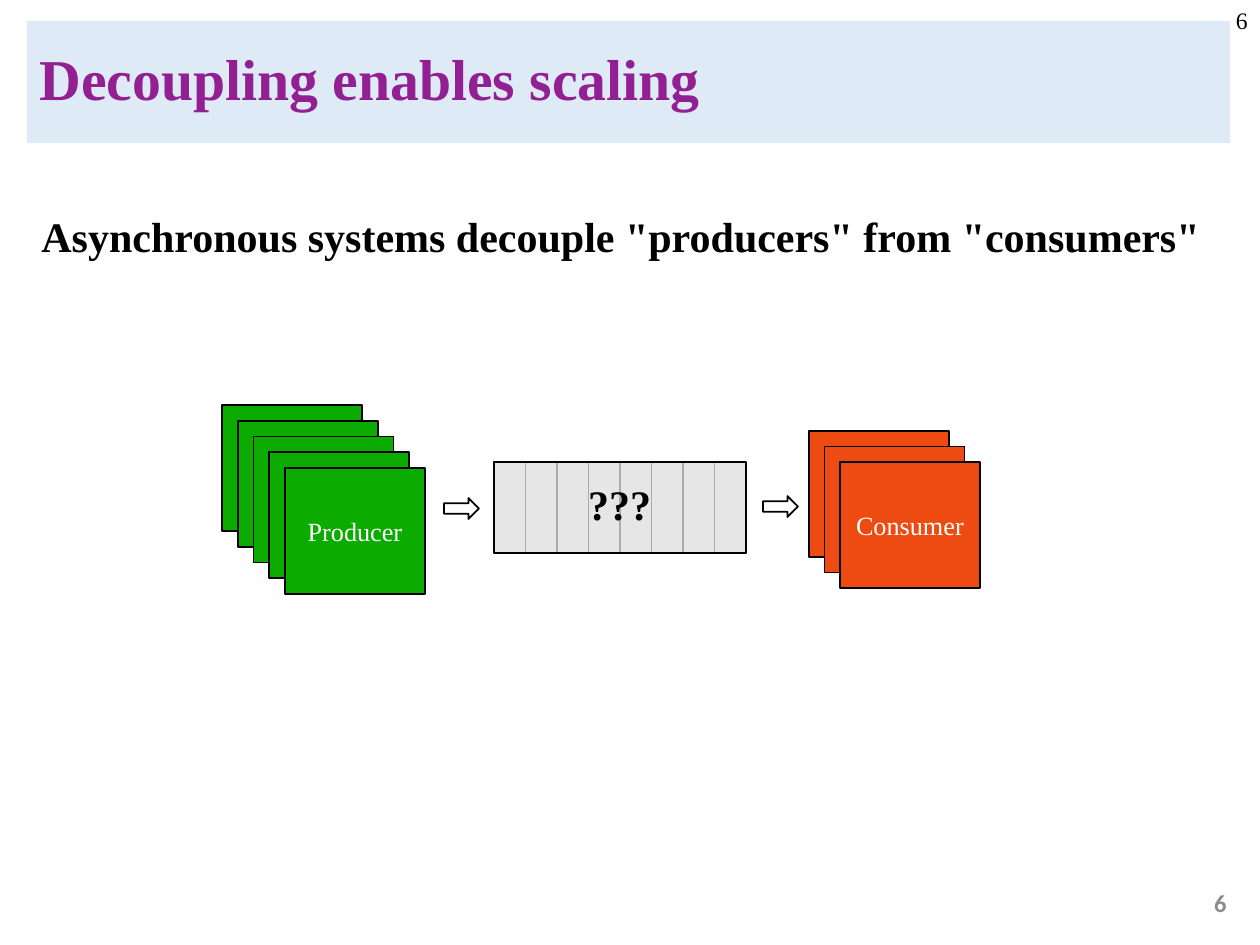
from pptx import Presentation
from pptx.dml.color import RGBColor
from pptx.enum.shapes import MSO_SHAPE
from pptx.enum.text import MSO_ANCHOR, PP_ALIGN
from pptx.util import Pt

PX = 914400 // 126
SERIF, SANS = "Times New Roman", "Calibri"
BLACK = RGBColor(0x00, 0x00, 0x00)
WHITE = RGBColor(0xFF, 0xFF, 0xFF)
PURPLE = RGBColor(0x93, 0x20, 0x92)
PALE_BLUE = RGBColor(0xDE, 0xEB, 0xF7)
GREEN = RGBColor(0x0C, 0xAB, 0x00)
ORANGE = RGBColor(0xED, 0x4B, 0x11)
PALE_GRAY = RGBColor(0xE7, 0xE6, 0xE6)
MID_GRAY = RGBColor(0xAF, 0xAB, 0xAB)
PAGE_GRAY = RGBColor(0x8C, 0x8C, 0x8C)

# text, box, size, colour, bold, font, alignment, line spacing
TEXTS = [
    ("6", (1198, 0, 62, 50), 13.5, BLACK, False, SERIF, PP_ALIGN.RIGHT, 1.0),
    ('Asynchronous systems decouple "producers" from "consumers"',
     (29, 210, 1203, 105), 24, BLACK, True, SERIF, PP_ALIGN.LEFT, 0.9),
    ("6", (1176, 882, 63, 50), 14, PAGE_GRAY, True, SANS, PP_ALIGN.RIGHT, 1.0),
]
TITLE = "Decoupling enables scaling"
TITLE_BOX = (27, 21, 1203, 122)

# label, colour, cards, left and top of the rearmost card, total offset
STACKS = [
    ("Producer", GREEN, 5, 222, 405, 63),
    ("Consumer", ORANGE, 3, 809, 431, 31),
]
CARD_W, CARD_H = 140, 126
ARROWS = [(444, 498, 35, 21), (763, 496, 35, 21)]
QUEUE_BOX = (494, 462, 252, 91)
QUEUE_LABEL, QUEUE_LABEL_BOX = "???", (509, 472, 221, 63)
QUEUE_CELLS = 8


def emu(box):
    return [round(v * PX) for v in box]


def write(sp, text, size, color, bold=False, font=SERIF,
          align=PP_ALIGN.CENTER, spacing=1.0, anchor=MSO_ANCHOR.MIDDLE):
    tf = sp.text_frame
    tf.word_wrap = True
    tf.vertical_anchor = anchor
    p = tf.paragraphs[0]
    p.alignment = align
    p.line_spacing = spacing
    r = p.add_run()
    r.text = text
    r.font.name = font
    r.font.size = Pt(size)
    r.font.bold = bold
    r.font.color.rgb = color


def add_text(shapes, text, box, *style):
    write(shapes.add_textbox(*emu(box)), text, *style, anchor=MSO_ANCHOR.TOP)


def add_block(shapes, box, fill=None, line=None, kind=MSO_SHAPE.RECTANGLE):
    """Add a flat shape; None leaves out the fill or the line."""
    sp = shapes.add_shape(kind, *emu(box))
    sp.shadow.inherit = False
    if fill is None:
        sp.fill.background()
    else:
        sp.fill.solid()
        sp.fill.fore_color.rgb = fill
    if line is None:
        sp.line.fill.background()
    else:
        sp.line.color.rgb = line
        sp.line.width = Pt(1)
    return sp


def add_stack(shapes, label, color, count, left, top, offset):
    for i in range(count):
        shift = offset * i / (count - 1)
        card = add_block(shapes, (left + shift, top + shift, CARD_W, CARD_H),
                         color, BLACK)
    write(card, label, 15, WHITE)


def add_queue(shapes):
    group = shapes.add_group_shape().shapes
    left, top, width, height = QUEUE_BOX
    cell_w = width / QUEUE_CELLS
    for i in range(QUEUE_CELLS):
        add_block(group, (left + i * cell_w, top, cell_w, height),
                  PALE_GRAY, MID_GRAY)
    add_text(group, QUEUE_LABEL, QUEUE_LABEL_BOX, 24, BLACK, True)
    add_block(group, QUEUE_BOX, line=BLACK)


def main():
    prs = Presentation()
    prs.slide_width, prs.slide_height = emu((1260, 945))
    shapes = prs.slides.add_slide(prs.slide_layouts[6]).shapes

    title = add_block(shapes, TITLE_BOX, PALE_BLUE)
    write(title, TITLE, 33, PURPLE, True, SERIF, PP_ALIGN.LEFT, 0.9)
    for text in TEXTS:
        add_text(shapes, *text)
    for stack in STACKS:
        add_stack(shapes, *stack)
    for box in ARROWS:
        add_block(shapes, box, WHITE, BLACK, MSO_SHAPE.RIGHT_ARROW)
    add_queue(shapes)
    prs.save("out.pptx")


if __name__ == "__main__":
    main()
